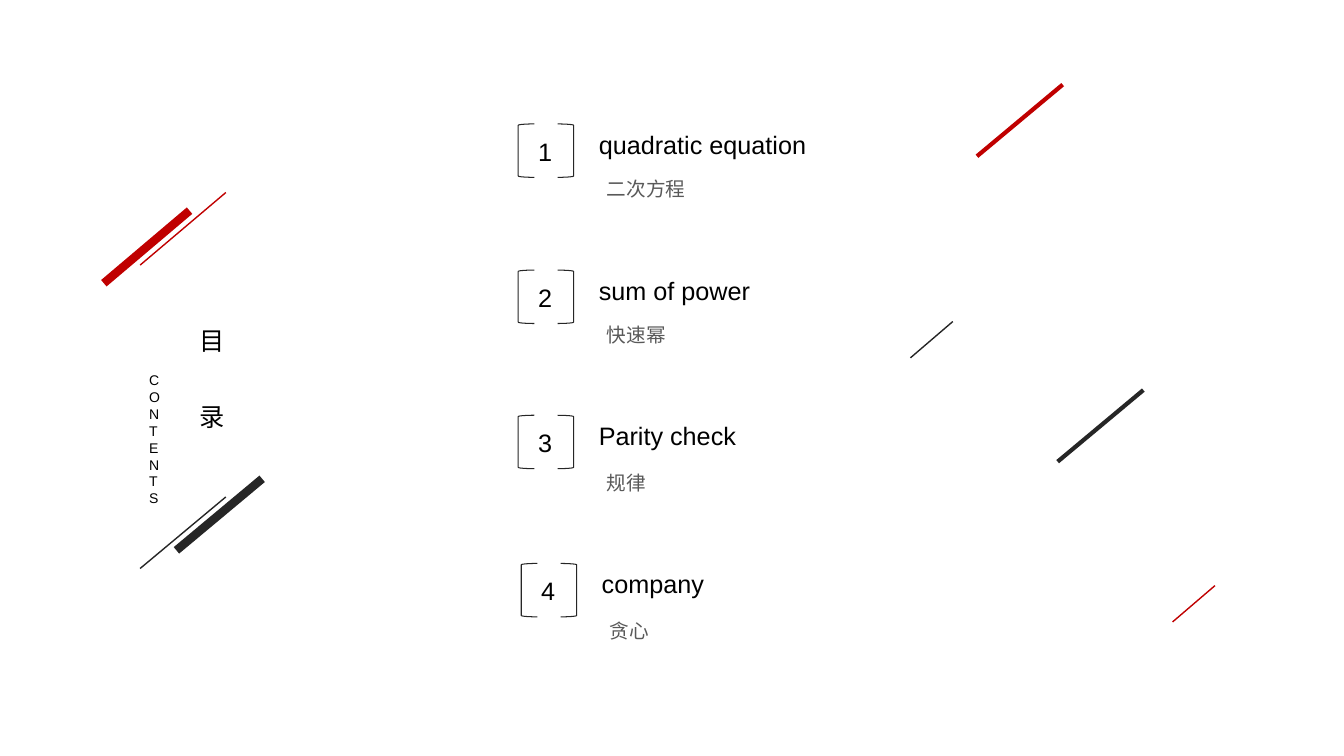
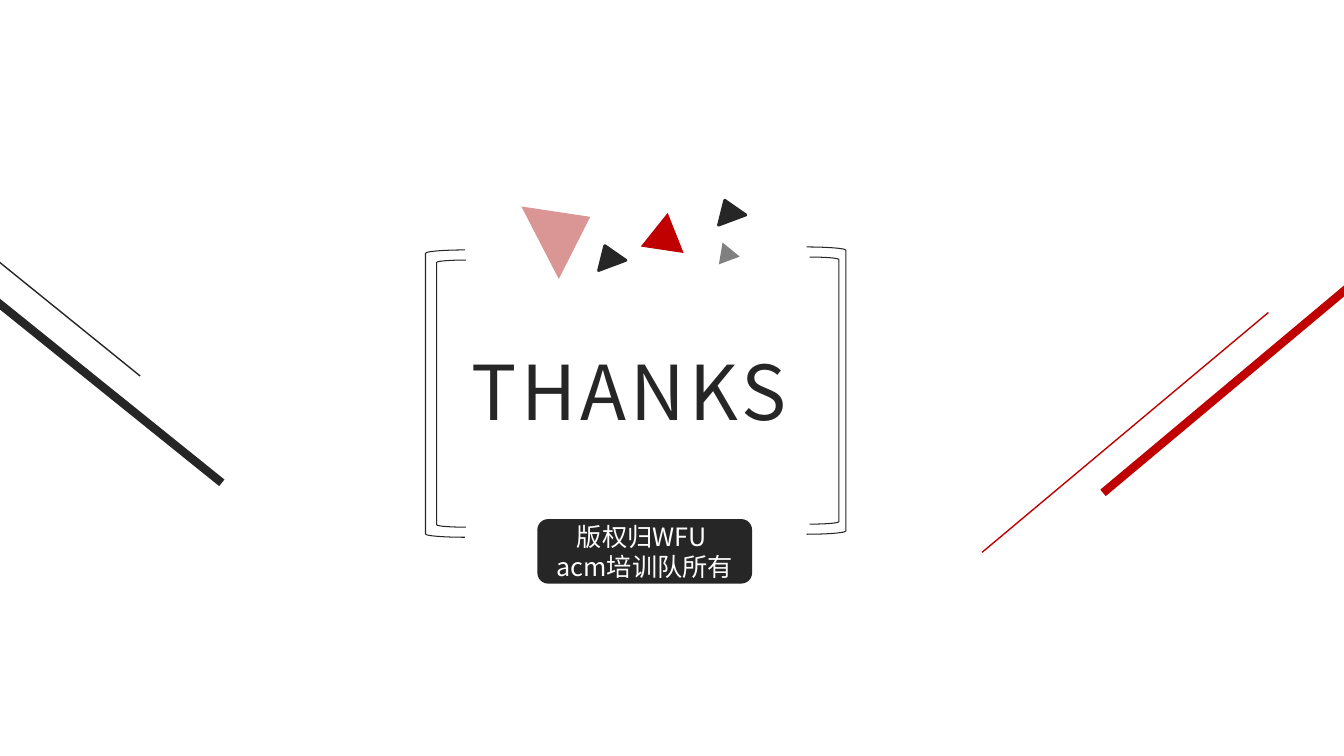
"""Build a contents slide and a closing slide with slanted line accents."""
from lxml.etree import SubElement
from pptx import Presentation
from pptx.dml.color import RGBColor
from pptx.enum.shapes import MSO_CONNECTOR, MSO_SHAPE as Shape
from pptx.enum.text import MSO_ANCHOR, MSO_AUTO_SIZE, PP_ALIGN
from pptx.oxml.ns import qn
from pptx.util import Inches, Pt

RED = RGBColor(0xC0, 0x00, 0x00)
PINK = RGBColor(0xD9, 0x96, 0x94)
DARK = RGBColor(0x26, 0x26, 0x26)
GRAY = RGBColor(0x80, 0x80, 0x80)
CAPTION = RGBColor(0x59, 0x59, 0x59)
BLACK = RGBColor(0x00, 0x00, 0x00)
WHITE = RGBColor(0xFF, 0xFF, 0xFF)
LATIN = "Arial"
HAN = "Noto Sans CJK SC"
HAN_BADGE = "Noto Sans CJK JP"


def write(box, lines, size, color, font=LATIN, wrap=False):
    """Fill a box with equally styled paragraphs."""
    frame = box.text_frame
    frame.word_wrap = wrap
    frame.text = "\n".join(lines)
    for para in frame.paragraphs:
        para.font.size = Pt(size)
        para.font.color.rgb = color
        para.font.name = font
        if font != LATIN:
            style = para._p.pPr.find(qn("a:defRPr"))
            SubElement(style, qn("a:ea")).set("typeface", font)
    return frame


def add_outline(page, kind, frame, fill=None, line=None, weight=0.75):
    """Add a preset shape with optional fill and outline."""
    shape = page.shapes.add_shape(kind, *map(Inches, frame))
    shape.shadow.inherit = False
    if fill is None:
        shape.fill.background()
    else:
        shape.fill.solid()
        shape.fill.fore_color.rgb = fill
    if line is None:
        shape.line.fill.background()
    else:
        shape.line.color.rgb = line
        shape.line.width = Pt(weight)
    return shape


deck = Presentation()
deck.slide_width, deck.slide_height = Inches(13.33), Inches(7.5)
blank = deck.slide_layouts[6]
contents = deck.slides.add_slide(blank)
closing = deck.slides.add_slide(blank)

accents = [
    (contents, (1.88, 2.09, 1.03, 2.81), RED, 6),
    (contents, (2.24, 1.91, 1.39, 2.63), RED, 1),
    (contents, (1.75, 5.46, 2.6, 4.75), DARK, 6),
    (contents, (1.39, 5.64, 2.24, 4.93), DARK, 1),
    (contents, (10.54, 0.84, 9.69, 1.55), RED, 3),
    (contents, (9.45, 3.19, 9.03, 3.55), DARK, 1),
    (contents, (12.05, 5.81, 11.63, 6.17), RED, 1),
    (contents, (11.34, 3.87, 10.49, 4.58), DARK, 3),
    (closing, (10.94, 4.89, 13.78, 2.51), RED, 6),
    (closing, (9.74, 5.48, 12.58, 3.1), RED, 1),
    (closing, (-0.68, 2.47, 2.2, 4.79), DARK, 6),
    (closing, (-1.49, 1.4, 1.39, 3.73), DARK, 1),
]
for page, ends, color, weight in accents:
    accent = page.shapes.add_connector(MSO_CONNECTOR.STRAIGHT, *map(Inches, ends))
    accent.line.color.rgb = color
    accent.line.width = Pt(weight)
    SubElement(accent._element.spPr, qn("a:effectLst"))

heading = contents.shapes.add_textbox(Inches(1.88), Inches(2.73), Inches(0.45), Inches(1.62))
for para in write(heading, ["目", "录"], 18, BLACK).paragraphs:
    para.line_spacing = 2.5
subheading = contents.shapes.add_textbox(Inches(1.38), Inches(3.64), Inches(0.25), Inches(1.45))
write(subheading, ["CONTENTS"], 10, BLACK, wrap=True)

topics = [
    ("quadratic equation", "二次方程", 5.14, 1.23, 2.28, 0.48),
    ("sum of power", "快速幂", 5.14, 2.68, 1.72, 0.47),
    ("Parity check", "规律", 5.14, 4.12, 1.58, 0.5),
    ("company", "贪心", 5.17, 5.59, 1.23, 0.5),
]
for number, (title, caption, left, top, width, drop) in enumerate(topics, 1):
    add_outline(contents, Shape.LEFT_BRACKET, (left, top, 0.16, 0.53), line=DARK)
    add_outline(contents, Shape.RIGHT_BRACKET, (left + 0.39, top, 0.16, 0.53), line=DARK)
    labels = [
        (str(number), (left + 0.1, top + 0.07, 0.34, 0.4), 18, BLACK, LATIN, False),
        (title, (left + 0.7, top, width, 0.4), 18, BLACK, LATIN, False),
        (caption, (left + 0.78, top + drop, 4.57, 0.34), 14, CAPTION, HAN, True),
    ]
    for text, frame, size, color, font, wrap in labels:
        label = contents.shapes.add_textbox(*map(Inches, frame))
        write(label, [text], size, color, font, wrap)

thanks = closing.shapes.add_textbox(Inches(4.58), Inches(3.37), Inches(3.61), Inches(1.01))
thanks_para = write(thanks, ["THANKS"], 54, DARK, HAN).paragraphs[0]
thanks_para._p.pPr.find(qn("a:defRPr")).set("spc", "300")

triangles = [
    ((6.38, 2.11, 0.43, 0.37), 8.5, RED, None),
    ((7.09, 2.4, 0.22, 0.19), 339.5, GRAY, None),
    ((5.89, 2.43, 0.29, 0.21), 339.5, DARK, DARK),
    ((5.2, 2, 0.81, 0.56), 62.7, PINK, None),
    ((7.08, 1.98, 0.29, 0.21), 339.5, DARK, DARK),
]
for frame, angle, fill, line in triangles:
    triangle = add_outline(closing, Shape.ISOSCELES_TRIANGLE, frame, fill, line, 2)
    triangle.rotation = angle

badge = add_outline(closing, Shape.ROUNDED_RECTANGLE, (5.33, 5.15, 2.13, 0.64), DARK)
badge_frame = write(badge, ["版权归WFU ", "acm培训队所有"], 18, WHITE, HAN_BADGE, True)
badge_frame.vertical_anchor = MSO_ANCHOR.MIDDLE
for para in badge_frame.paragraphs:
    para.alignment = PP_ALIGN.CENTER

brackets = [
    (Shape.LEFT_BRACKET, (4.33, 2.58, 0.29, 2.65)),
    (Shape.LEFT_BRACKET, (4.22, 2.48, 0.39, 2.85)),
    (Shape.RIGHT_BRACKET, (8.03, 2.55, 0.29, 2.65)),
    (Shape.RIGHT_BRACKET, (8, 2.45, 0.39, 2.85)),
]
for kind, frame in brackets:
    add_outline(closing, kind, frame, line=DARK)

for page in deck.slides:
    for shape in page.shapes:
        if shape.has_text_frame and shape.text_frame.text and shape != badge:
            shape.text_frame.auto_size = MSO_AUTO_SIZE.SHAPE_TO_FIT_TEXT

deck.save("out.pptx")
